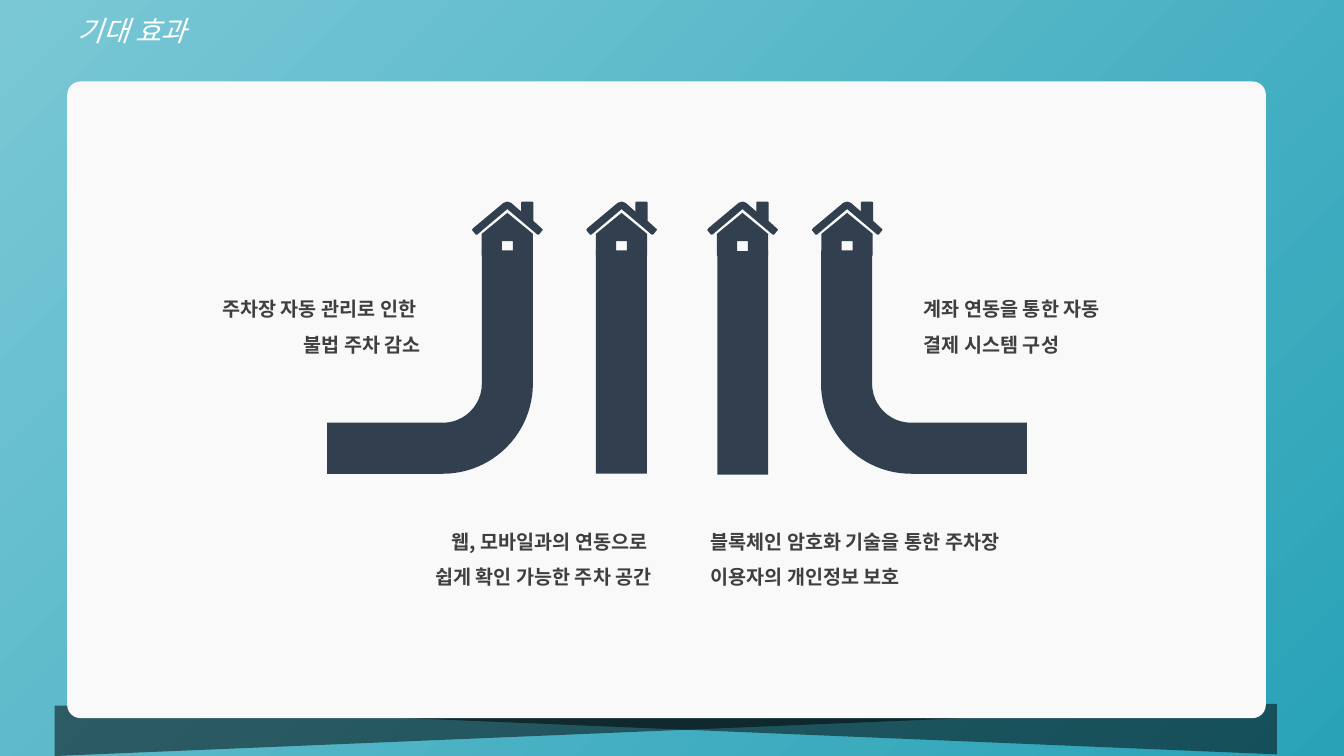
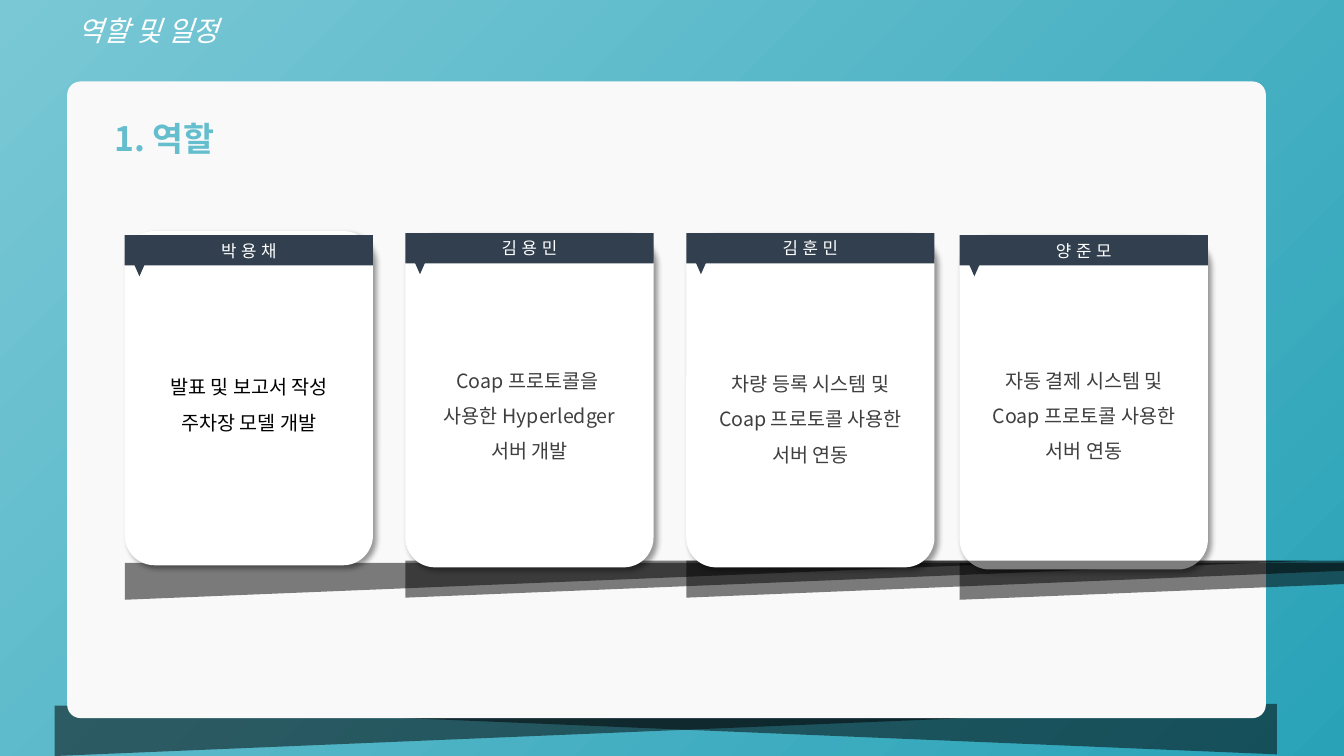
import pptx
import pptx.util
import pptx.dml.color
import pptx.enum.shapes
import pptx.enum.text
import pptx.oxml
import pptx.oxml.ns
from lxml import etree

COLORS = {
    "sky": "7AC8D5", "teal": "29A2B7", "heading": "64BECD", "navy": "323F4F",
    "panel": "F9F9F9", "white": "FFFFFF", "text": "3F3F3F", "black": "000000",
}
FONT = "Noto Sans CJK KR"
COLS, ROWS = 160, 90
SHAPE = pptx.enum.shapes.MSO_SHAPE
ALIGN = pptx.enum.text.PP_ALIGN
ANCHOR = pptx.enum.text.MSO_ANCHOR

ROOF = [(4.2, 3.3), (3.1, 2.3), (3.1, 0.1), (2.95, 0), (1.75, 0), (1.65, 0.1),
        (1.65, 1.2), (0.45, 0.15), (0, 0), (-0.45, 0.15), (-4.1, 3.2), (-4.2, 3.4),
        (-3.75, 3.95), (-3.6, 3.95), (0, 0.9), (3.6, 3.95), (3.75, 3.95), (4.2, 3.4)]
WALLS = [(0, 1.35), (-3.05, 3.85), (-3.05, 6.4), (-2.7, 6.7), (-0.65, 6.7), (-0.65, 4.7),
         (0.65, 4.7), (0.65, 6.7), (2.7, 6.7), (3.05, 6.4), (3.05, 3.85)]


def rgb(name):
    """Return the named colour."""
    return pptx.dml.color.RGBColor.from_string(COLORS[name])


def add_sub(parent, tag, **attrs):
    """Append a drawing element with attributes."""
    return etree.SubElement(parent, pptx.oxml.ns.qn(tag), attrs)


def write(sp, text, size=14, color="text", font=FONT, bold=False, italic=False,
          align=ALIGN.LEFT, spacing=None, anchor=ANCHOR.TOP):
    """Fill a shape with formatted text, one paragraph per line."""
    tf = sp.text_frame
    tf.word_wrap = True
    tf.auto_size = pptx.enum.text.MSO_AUTO_SIZE.NONE
    tf.vertical_anchor = anchor
    tf.text = text
    for p in tf.paragraphs:
        p.alignment = align
        p.line_spacing = spacing
        for r in p.runs:
            r.font.size = pptx.util.Pt(size)
            r.font.bold, r.font.italic = bold, italic
            r.font.color.rgb = rgb(color)
            r.font.name = font
            add_sub(r.font._element, "a:ea", typeface=font)


class Deck:
    """Hold the style, the grid and the current slide."""

    def __init__(self):
        """Start a widescreen presentation."""
        self.prs = pptx.Presentation()
        self.prs.slide_width = pptx.util.Emu(12192000)
        self.prs.slide_height = pptx.util.Emu(6858000)

    def grid(self, *cells):
        """Turn alternating columns and rows into lengths."""
        units = (self.prs.slide_width / COLS, self.prs.slide_height / ROWS)
        return [pptx.util.Emu(round(c * units[i % 2])) for i, c in enumerate(cells)]

    def new_slide(self, title):
        """Add a slide with gradient, title and raised panel."""
        self.slide = self.prs.slides.add_slide(self.prs.slide_layouts[5])
        fill = self.slide.background.fill
        fill.gradient()
        fill.gradient_angle = 315
        for stop, name, position in zip(fill.gradient_stops, ("sky", "teal"), (0, 1)):
            stop.color.rgb = rgb(name)
            stop.position = position
        sp = self.slide.shapes.title
        sp.left, sp.top, sp.width, sp.height = self.grid(8, 1, 90.2, 5.3)
        write(sp, title, size=20, color="white", italic=True)
        self.wedge(7.8, 83.8, 144.2, 6, flip=False)
        self.wedge(6.5, 84, 144.2, 6)
        self.shape(SHAPE.ROUNDED_RECTANGLE, 8, 9.7, 142.7, 75.8, "panel", adj=[0.021])

    def paint(self, sp, color):
        """Give a shape a plain fill without line or shadow."""
        sp.shadow.inherit = False
        sp.fill.solid()
        sp.fill.fore_color.rgb = rgb(color)
        sp.line.fill.background()

    def shape(self, kind, x, y, w, h, color, adj=(), rotation=0, flip=False):
        """Add a preset shape."""
        sp = self.slide.shapes.add_shape(kind, *self.grid(x, y, w, h))
        self.paint(sp, color)
        for i, value in enumerate(adj):
            sp.adjustments[i] = value
        sp.rotation = rotation
        if flip:
            sp._element.spPr.get_or_add_xfrm().set("flipH", "1")
        return sp

    def wedge(self, x, y, w, h, flip=True):
        """Add a translucent floor shadow."""
        sp = self.shape(SHAPE.RIGHT_TRIANGLE, x, y, w, h, "black", rotation=180, flip=flip)
        clr = sp._element.spPr.find(".//" + pptx.oxml.ns.qn("a:srgbClr"))
        add_sub(clr, "a:alpha", val="51000")

    def text(self, x, y, w, h, text, **fmt):
        """Add a text box with wide line spacing."""
        sp = self.slide.shapes.add_textbox(*self.grid(x, y, w, h))
        write(sp, text, spacing=1.5, **fmt)

    def house(self, center, top):
        """Add a house outline made of roof and walls."""
        roof, walls = ([self.grid(center + dx, top + dy) for dx, dy in outline]
                       for outline in (ROOF, WALLS))
        builder = self.slide.shapes.build_freeform(*roof[0])
        builder.add_line_segments(roof[1:])
        builder.move_to(*walls[0])
        builder.add_line_segments(walls[1:])
        self.paint(builder.convert_to_shape(), "navy")

    def drop_shadow(self, sp):
        """Add a soft shadow below and to the right."""
        effects = sp._element.spPr.find(pptx.oxml.ns.qn("a:effectLst"))
        shadow = add_sub(effects, "a:outerShdw", blurRad=str(pptx.util.Pt(4)),
                         dist=str(pptx.util.Pt(3)), dir="2700000", algn="tl", rotWithShape="0")
        clr = add_sub(shadow, "a:srgbClr", val=COLORS["black"])
        add_sub(clr, "a:alpha", val="40000")

    def card(self, x, y, name, role, role_y, lift=0, color="text"):
        """Add a role card with a name band."""
        width = 29.55
        self.wedge(x, y + 39, 107.6, 4.4)
        sp = self.shape(SHAPE.ROUNDED_RECTANGLE, x, y - lift, width, 39.8, "white", adj=[0.12])
        self.drop_shadow(sp)
        band = self.shape(SHAPE.ROUNDED_RECTANGLE, x, y, width, 3.6, "navy", adj=[0])
        write(band, name, size=12, color="white", font="Arial",
              align=ALIGN.CENTER, anchor=ANCHOR.MIDDLE)
        self.shape(SHAPE.FLOWCHART_MERGE, x + 1, y + 3.2, 1.5, 1.7, "navy")
        self.text(x + 2.5, role_y, 24.6, 18.5, role, color=color, align=ALIGN.CENTER)


def add_effects(deck):
    """Build the expected effects slide."""
    deck.new_slide("기대 효과")
    for x, rotation, bend, flip in ((96.7, 270, 0.25, False), (37.9, 90, 0.248, True)):
        deck.shape(SHAPE.BENT_ARROW, x, 30.85, 26.6, 24.5, "navy",
                   adj=[bend, 0.124, 0, 0.438], rotation=rotation, flip=flip)
    for x, y in ((70.95, 29.8), (85.4, 29.9)):
        deck.shape(SHAPE.RECTANGLE, x, y, 6.05, 26.6, "navy")
    for center in (60.4, 74, 88.4, 100.85):
        deck.house(center, 24)
    for x, y, w, align, label in (
        (19.4, 33.4, 31.9, ALIGN.RIGHT, "주차장 자동 관리로 인한 \n불법 주차 감소"),
        (108.8, 33.4, 31.9, ALIGN.LEFT, "계좌 연동을 통한 자동\n결제 시스템 구성"),
        (46.9, 61.1, 31.9, ALIGN.RIGHT, "웹, 모바일과의 연동으로 \n쉽게 확인 가능한 주차 공간"),
        (83.4, 61.1, 38.8, ALIGN.LEFT, "블록체인 암호화 기술을 통한 주차장 이용자의 개인정보 보호"),
    ):
        deck.text(x, y, w, 9.1, label, bold=True, align=align)


def add_roles(deck):
    """Build the roles slide."""
    deck.new_slide("역할 및 일정")
    deck.text(9.8, 11, 19.6, 7.6, "1. 역할", size=24, color="heading", bold=True,
              align=ALIGN.CENTER)
    deck.card(14.85, 28, "박 용 채", "발표 및 보고서 작성\n주차장 모델 개발", 42.7,
              lift=0.5, color="black")
    deck.card(48.25, 27.75, "김 용 민", "Coap 프로토콜을 \n사용한 Hyperledger 서버 개발", 41.9)
    deck.card(114.25, 28, "양 준 모", "자동 결제 시스템 및 Coap 프로토콜 사용한 서버 연동", 41.9)
    deck.card(81.7, 27.75, "김 훈 민", "차량 등록 시스템 및 Coap 프로토콜 사용한 서버 연동", 42.3)


def main():
    """Build and save the presentation."""
    deck = Deck()
    add_effects(deck)
    add_roles(deck)
    deck.prs.save("out.pptx")


if __name__ == "__main__":
    main()
